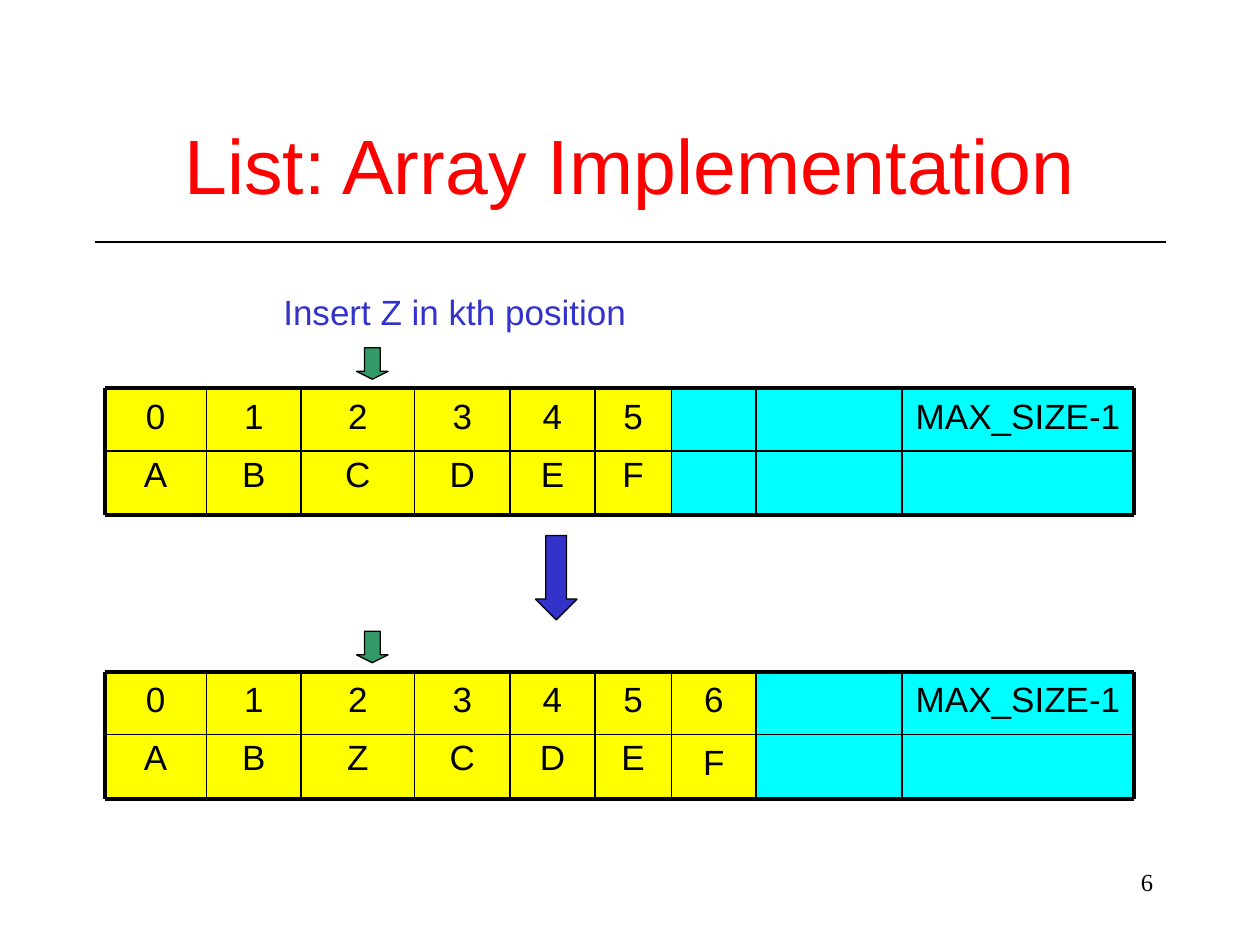
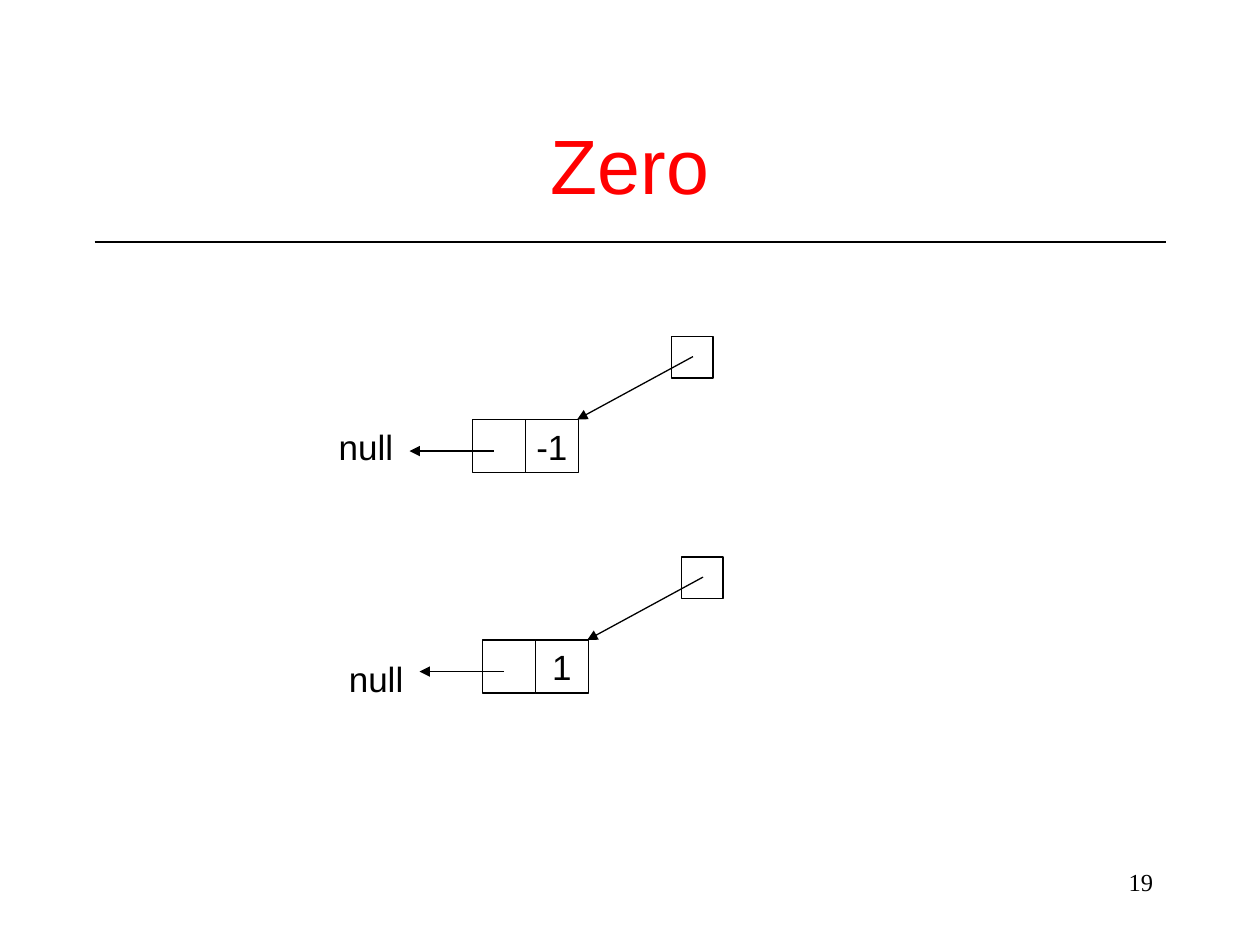
from itertools import pairwise

from pptx import Presentation
from pptx.dml.color import RGBColor
from pptx.enum import shapes, text
from pptx.oxml import ns, xmlchemy
from pptx.util import Inches, Pt

BLACK = RGBColor(0x00, 0x00, 0x00)
RED = RGBColor(0xFF, 0x00, 0x00)
BLUE = RGBColor(0x33, 0x33, 0xCC)
GREEN = RGBColor(0x33, 0x99, 0x66)
YELLOW = RGBColor(0xFF, 0xFF, 0x00)
CYAN = RGBColor(0x00, 0xFF, 0xFF)

SHAPE = shapes.MSO_SHAPE
LEFT, CENTER, RIGHT = text.PP_ALIGN.LEFT, text.PP_ALIGN.CENTER, text.PP_ALIGN.RIGHT
TOP, MIDDLE = text.MSO_ANCHOR.TOP, text.MSO_ANCHOR.MIDDLE

EDGES = [0.83, 1.64, 2.39, 3.29, 4.05, 4.72, 5.33, 6, 7.16, 9]
HEAD, BODY, RULE, DEPTH = 0.46, 0.55, 0.5, 1.01


def write(shape, words, size=20, color=BLACK, font="Arial",
          align=CENTER, anchor=TOP, wrap=True):
    frame = shape.text_frame
    frame.word_wrap = wrap
    frame.vertical_anchor = anchor
    para = frame.paragraphs[0]
    para.alignment = align
    run = para.add_run()
    run.text = words
    run.font.name = font
    run.font.size = Pt(size)
    run.font.color.rgb = color


def label(slide, box, words, **style):
    write(slide.shapes.add_textbox(*map(Inches, box)), words, **style)


def block(slide, box, fill=None, edge=True, kind=SHAPE.RECTANGLE):
    shape = slide.shapes.add_shape(kind, *map(Inches, box))
    shape.shadow.inherit = False
    if fill is None:
        shape.fill.background()
    else:
        shape.fill.solid()
        shape.fill.fore_color.rgb = fill
    if edge:
        shape.line.color.rgb = BLACK
        shape.line.width = Pt(0.75)
    else:
        shape.line.fill.background()
    return shape


def line(slide, start, end, width=0.75, arrow=False):
    link = slide.shapes.add_connector(
        shapes.MSO_CONNECTOR.STRAIGHT, *map(Inches, (*start, *end)))
    link.line.color.rgb = BLACK
    link.line.width = Pt(width)
    props = link._element.spPr
    if arrow:
        tail = xmlchemy.OxmlElement("a:tailEnd")
        tail.set("type", "triangle")
        props.find(ns.qn("a:ln")).append(tail)
    props.append(xmlchemy.OxmlElement("a:effectLst"))


def page(deck, title, number):
    """Add a slide with the shared title, rule and page number."""
    slide = deck.slides.add_slide(deck.slide_layouts[6])
    line(slide, (0.75, 1.92), (9.25, 1.92))
    label(slide, (7.17, 6.83, 2.08, 0.5), number,
          size=14, font="Times New Roman", align=RIGHT)
    label(slide, (0.75, 0.67, 8.5, 1.25), title,
          size=44, color=RED, anchor=MIDDLE)
    return slide


def cell(slide, box, words, fill):
    shape = block(slide, box, fill, edge=False)
    if words:
        write(shape, words)


def arrow(slide, box, fill, head):
    shape = block(slide, box, fill, kind=SHAPE.DOWN_ARROW)
    shape.adjustments[0] = 0.5
    shape.adjustments[1] = head


def array(slide, top, items):
    """Draw an array whose used cells are yellow and spare cells cyan."""
    used = len(items)
    spans = list(pairwise(EDGES))
    spare = [(EDGES[used], EDGES[-2]), spans[-1]]
    for index, (left, right) in enumerate(spans[:used] + spare):
        live = index < used
        last = index == used + 1
        fill = YELLOW if live else CYAN
        name = str(index) if live else "MAX_SIZE-1" if last else ""
        item = items[index] if live else ""
        # The cell past the first six splits at the rule itself.
        head, body = (RULE, RULE) if live and index > 5 else (HEAD, BODY)
        cell(slide, (left, top + head, right - left, body), item, fill)
        cell(slide, (left, top, right - left, head), name, fill)
    first, end = EDGES[0], EDGES[-1]
    for x in EDGES:
        line(slide, (x, top), (x, top + DEPTH), 2.25 if x in (first, end) else 1)
    for drop, width in ((0, 2.25), (RULE, 1), (DEPTH, 2.25)):
        line(slide, (first, top + drop), (end, top + drop), width)
    arrow(slide, (2.83, top - 0.32, 0.25, 0.25), GREEN, 0.25)


def node(slide, x, y, value, drop):
    """Draw a pointer to a one-item node whose next link is null."""
    side = 0.42
    write(block(slide, (x + side, y, side, side)), value,
          anchor=MIDDLE, wrap=False)
    block(slide, (x, y, side, side))
    block(slide, (x + 1.58, y - 0.66, 0.33, 0.33))
    line(slide, (x + 0.17, y + 0.25), (x - 0.5, y + 0.25), arrow=True)
    line(slide, (x + 1.75, y - 0.5), (x + 0.83, y), arrow=True)
    label(slide, (x - 1.16, y + drop, 0.63, 0.44), "null",
          align=LEFT, wrap=False)


def main():
    deck = Presentation()
    deck.slide_width, deck.slide_height = Inches(10), Inches(7.5)

    slide = page(deck, "List: Array Implementation", "6")
    label(slide, (2.15, 2.26, 2.92, 0.44), "Insert Z in kth position",
          color=BLUE, align=LEFT, wrap=False)
    array(slide, 3.08, "ABCDEF")
    array(slide, 5.33, "ABZCDEF")
    arrow(slide, (4.25, 4.25, 0.33, 0.67), BLUE, 0.5)

    slide = page(deck, "Zero", "19")
    node(slide, 3.75, 3.33, "-1", 0)
    node(slide, 3.83, 5.08, "1", 0.09)

    deck.save("out.pptx")


if __name__ == "__main__":
    main()
